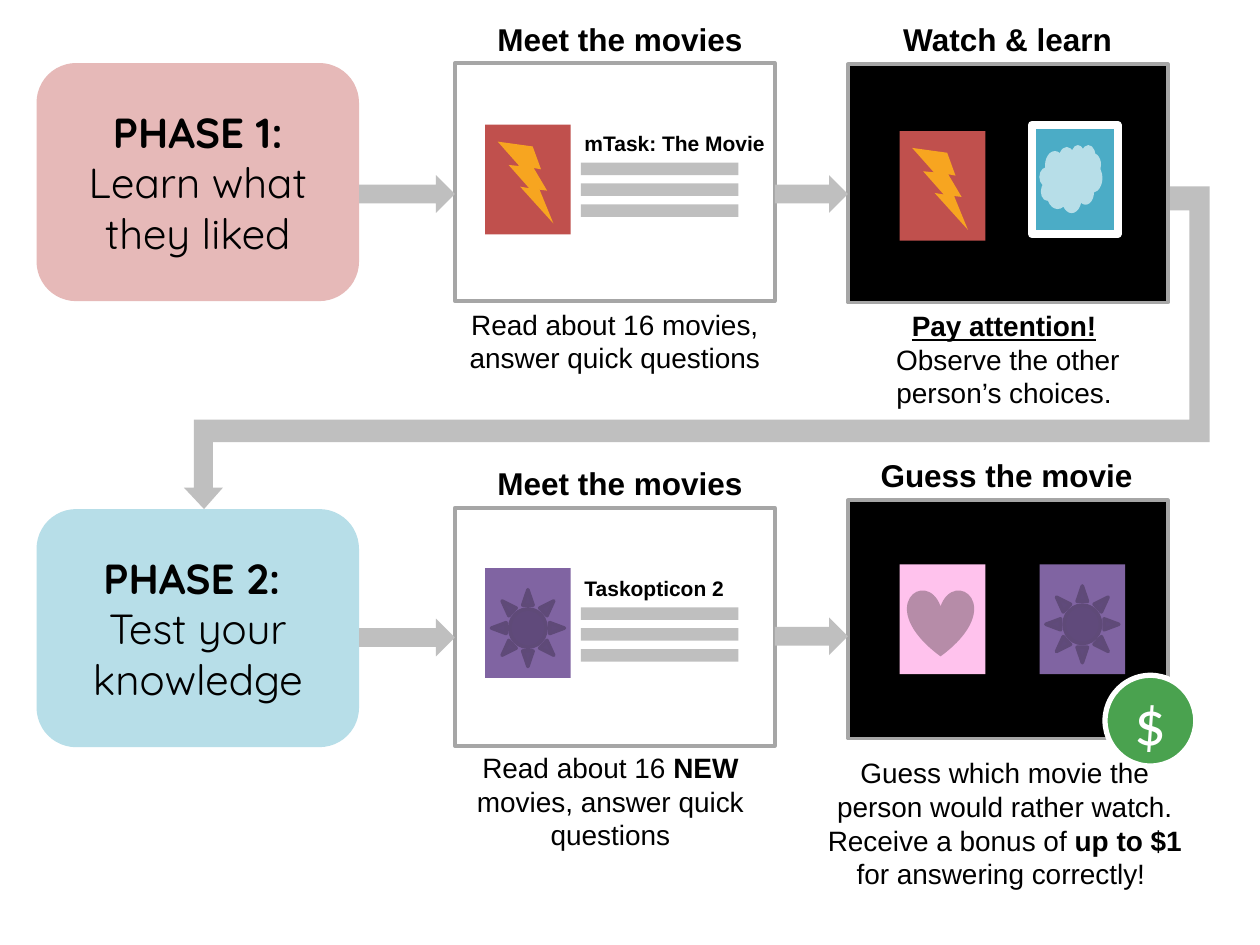
from pptx import Presentation
from pptx.dml.color import RGBColor
from pptx.enum import shapes, text
from pptx.util import Inches, Pt

S = shapes.MSO_SHAPE
GREY, BLACK, WHITE = "BFBFBF", "000000", "FFFFFF"
PANEL_W, PANEL_H = 2.54, 1.89
POSTER_W, POSTER_H = 0.68, 0.87

# Content: runs are (text, style), style "b" bold and "u" underlined
PHASES = [
    (0.5, "E6B9B8", "PHASE 1:", "Learn what they liked"),
    (4.04, "B7DEE8", "PHASE 2: ", "Test your knowledge"),
]
# Icon: shape, fill, line, offset in poster, size, rotation
BOLT = (S.LIGHTNING_BOLT, "F7A520", None, 0, 0.18, 0.68, 0.48, 25.7)
SUN = (S.SUN, "604A7B", "5F4A78", 0.05, 0.17, 0.58, 0.61, 0)
CLOUD = (S.CLOUD, "B7DEE8", None, 0.06, 0.16, 0.5, 0.54, 0)
HEART = (S.HEART, "B68CA8", None, 0.06, 0.2, 0.53, 0.53, 0)
# Poster: fill, frame width, icon
RED = ("C0504D", 0, BOLT)
PURPLE = ("8064A2", 0, SUN)
BLUE = ("4BACC6", 4.5, CLOUD)
PINK = ("FFC2ED", 0, HEART)

PANELS = [
    dict(at=(3.61, 0.5), fill=WHITE, title=("Meet the movies", 3.85, 0.11, 2.17),
         caption=(3.61, 2.39, 2.54, 0.64),
         paras=[[("Read about 16 movies, answer quick questions", "")]],
         posters=[(3.85, 0.99, RED)], movie="mTask: The Movie"),
    dict(at=(3.61, 4.03), fill=WHITE, title=("Meet the movies", 3.85, 3.63, 2.17),
         caption=(3.36, 5.91, 2.97, 0.91),
         paras=[[("Read about 16", ""), (" NEW", "b"),
                 (" movies, answer quick questions", "")]],
         posters=[(3.85, 4.51, PURPLE)], movie="Taskopticon 2"),
    dict(at=(6.73, 0.51), fill=BLACK, title=("Watch & learn", 7.07, 0.11, 1.88),
         caption=(6.73, 2.4, 2.54, 0.91),
         paras=[[("Pay attention!", "bu"), (" ", "")],
                [("Observe the other person’s choices. ", "")]],
         posters=[(7.14, 1.04, RED), (8.19, 0.99, BLUE)], movie=None),
    dict(at=(6.73, 3.97), fill=BLACK, title=("Guess the movie", 6.89, 3.57, 2.22),
         caption=(6.46, 5.95, 3.03, 1.18),
         paras=[[("Guess which movie the person would rather watch. "
                  "Receive a bonus of ", ""), ("up to $1 ", "b"),
                 ("for answering correctly! ", "")]],
         posters=[(8.25, 4.48, PURPLE), (7.14, 4.48, PINK)], movie=None),
]
ARROWS = [(2.85, 1.39, 0.76), (6.15, 1.39, 0.58),
          (2.85, 4.91, 0.76), (6.15, 4.9, 0.58)]
RETURN_PATH = [(9.13, 1.39), (9.13, 1.48), (9.6, 1.48), (9.6, 3.51),
               (1.69, 3.51), (1.69, 3.87), (1.77, 3.87), (1.62, 4.04),
               (1.46, 3.87), (1.54, 3.87), (1.54, 3.33), (9.44, 3.33),
               (9.44, 1.67), (9.13, 1.67), (9.13, 1.76), (8.98, 1.57)]

prs = Presentation()
prs.slide_width, prs.slide_height = Inches(10), Inches(7.5)
slide = prs.slides.add_slide(prs.slide_layouts[6])


def rgb(value):
    return RGBColor.from_string(value)


def paint(sp, fill, line=None, width=2):
    sp.shadow.inherit = False
    sp.fill.solid()
    sp.fill.fore_color.rgb = rgb(fill)
    if line:
        sp.line.color.rgb = rgb(line)
        sp.line.width = Pt(width)
    else:
        sp.line.fill.background()


def add_shape(kind, x, y, w, h, fill, line=None, width=2):
    sp = slide.shapes.add_shape(kind, *map(Inches, (x, y, w, h)))
    paint(sp, fill, line, width)
    return sp


def write(sp, paras, size, font="Arial", color=BLACK, center=True, wrap=True):
    tf = sp.text_frame
    tf.word_wrap = wrap
    for i, runs in enumerate(paras):
        p = tf.add_paragraph() if i else tf.paragraphs[0]
        p.alignment = text.PP_ALIGN.CENTER if center else text.PP_ALIGN.LEFT
        for words, style in runs:
            r = p.add_run()
            r.text = words
            r.font.name, r.font.size = font, Pt(size)
            r.font.color.rgb = rgb(color)
            r.font.bold = "b" in style
            r.font.underline = "u" in style


def add_text(x, y, w, h, paras, size, **options):
    write(slide.shapes.add_textbox(*map(Inches, (x, y, w, h))), paras, size, **options)


def add_poster(x, y, poster):
    fill, frame, (kind, color, line, dx, dy, w, h, turn) = poster
    add_shape(S.RECTANGLE, x, y, POSTER_W, POSTER_H, fill, WHITE if frame else None, frame)
    add_shape(kind, x + dx, y + dy, w, h, color, line).rotation = turn


# Return arrow from the first row to the second
corners = [(Inches(x), Inches(y)) for x, y in RETURN_PATH]
builder = slide.shapes.build_freeform(*corners[0])
builder.add_line_segments(corners[1:], close=True)
paint(builder.convert_to_shape(), GREY)

# Phase boxes
for y, fill, head, body in PHASES:
    box = add_shape(S.ROUNDED_RECTANGLE, 0.29, y, 2.56, PANEL_H, fill)
    write(box, [[(head, "b")], [(body, "")]], 24, "Quicksand")

# Panels with title, caption, posters and movie description
for panel in PANELS:
    x, y = panel["at"]
    add_text(*panel["caption"], panel["paras"], 16)
    add_shape(S.RECTANGLE, x, y, PANEL_W, PANEL_H, panel["fill"], "A6A6A6")
    title, tx, ty, tw = panel["title"]
    add_text(tx, ty, tw, 0.4, [[(title, "b")]], 18, center=False, wrap=False)
    for poster in panel["posters"]:
        add_poster(*poster)
    if panel["movie"]:
        add_text(x + 0.93, y + 0.49, 1.79, 0.3, [[(panel["movie"], "b")]], 12, center=False)
        for i in range(3):
            add_shape(S.RECTANGLE, x + 1, y + 0.79 + i * PANEL_H / 11.4, 1.25, 0.1, GREY)

# Arrows between the steps
for x, y, w in ARROWS:
    add_shape(S.RIGHT_ARROW, x, y, w, 0.3, GREY)

# Bonus coin
coin = add_shape(S.OVAL, 8.77, 5.36, 0.72, 0.72, "4AA24F", WHITE, 3)
write(coin, [[("$", "")]], 36, "Calibri", WHITE)

prs.save("out.pptx")
